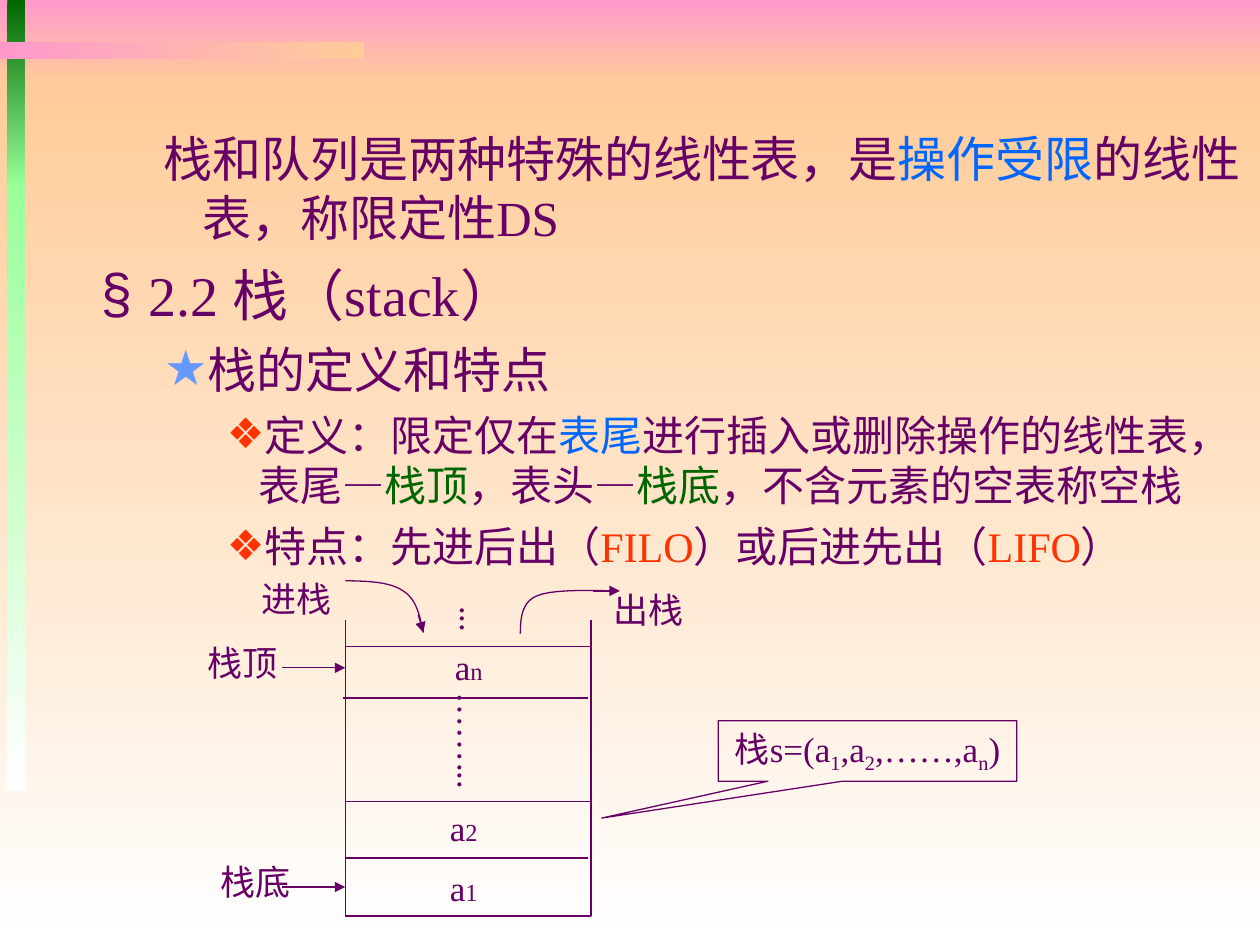
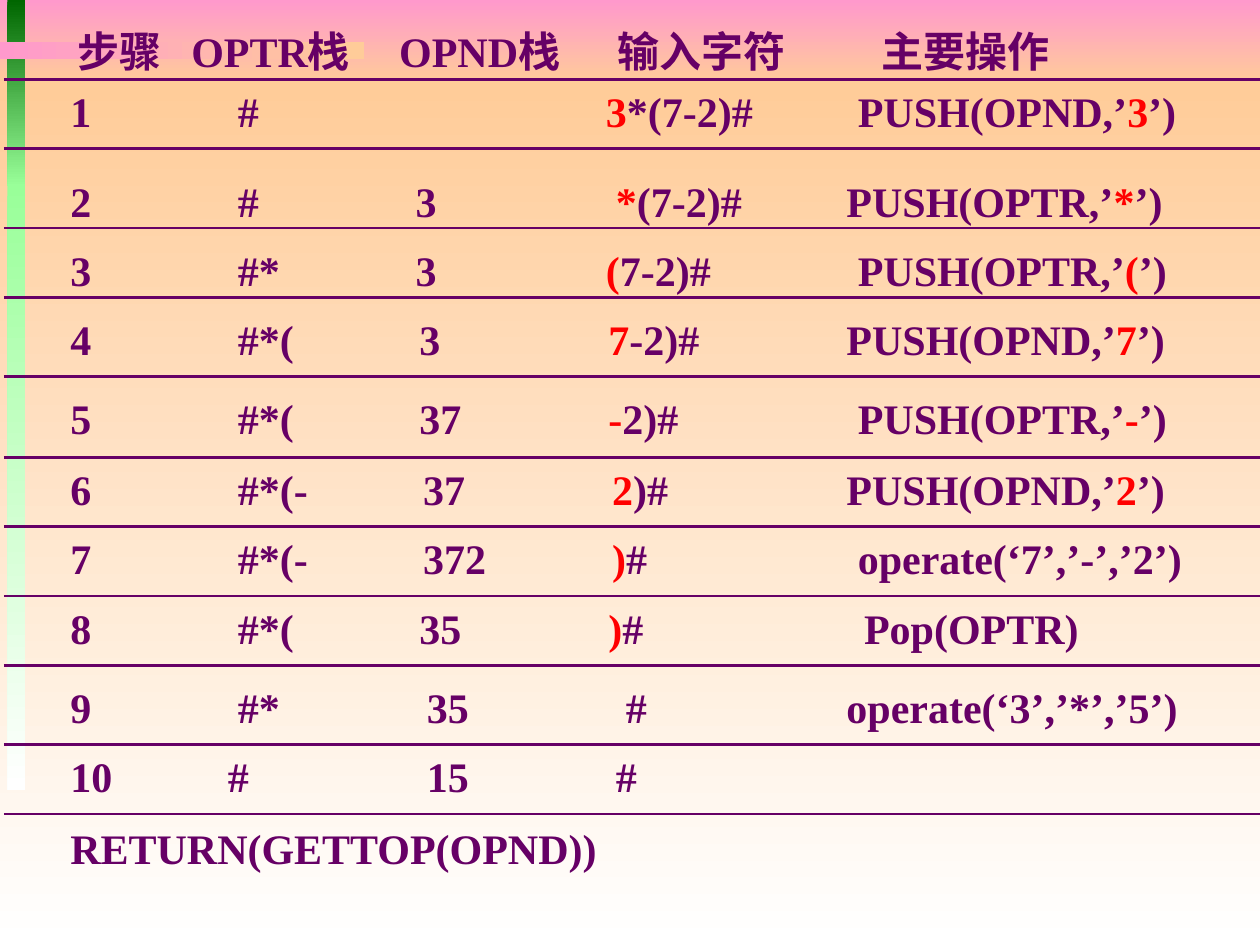
from lxml import etree
from pptx import Presentation
from pptx.dml.color import RGBColor
from pptx.enum.shapes import MSO_CONNECTOR, MSO_SHAPE
from pptx.enum.text import MSO_ANCHOR, MSO_AUTO_SIZE, PP_ALIGN
from pptx.oxml.ns import qn
from pptx.util import Inches, Pt

PURPLE = RGBColor(0x66, 0x00, 0x66)
BLUE = RGBColor(0x00, 0x66, 0xFF)
STAR_BLUE = RGBColor(0x66, 0x99, 0xFF)
ORANGE = RGBColor(0xFF, 0x33, 0x00)
RED = RGBColor(0xFF, 0x00, 0x00)
GREEN = RGBColor(0x00, 0x66, 0x00)
LIGHT_GREEN = RGBColor(0x99, 0xFF, 0x99)
PINK = RGBColor(0xFF, 0x99, 0xCC)
PEACH = RGBColor(0xFF, 0xCC, 0x99)
WHITE = RGBColor(0xFF, 0xFF, 0xFF)
FONT = "Times New Roman"
THIN, THICK = 0.75, 1.5
DOWN, ACROSS = 270, 0
INSET = 0.1

# Left, top, width, height, first colour, last colour, direction
BANDS = [
    (0, 0, 10, 0.67, PINK, PEACH, DOWN),
    (0, 0.67, 10, 6.83, PEACH, WHITE, DOWN),
    (0.06, 0, 0.14, 1.48, GREEN, LIGHT_GREEN, DOWN),
    (0.06, 1.46, 0.14, 4.81, LIGHT_GREEN, WHITE, DOWN),
    (0, 0.33, 2.89, 0.14, PINK, PEACH, ACROSS),
]

# Level -> left margin, hanging indent, size, space before
LEVELS = {0: (0.38, 0.38, 32, 8), 1: (0.81, 0.31, 28, 7), 2: (1.25, 0.25, 24, 6)}

# Level, bullet, bullet colour, runs
OUTLINE = [
    (1, None, None, [("栈和队列是两种特殊的线性表，是", PURPLE), ("操作受限", BLUE),
                     ("的线性表，称限定性DS", PURPLE)]),
    (0, "§", PURPLE, [("2.2 栈（stack）", PURPLE)]),
    (1, "★", STAR_BLUE, [("栈的定义和特点", PURPLE)]),
    (2, "❖", ORANGE, [("定义：限定仅在", PURPLE), ("表尾", BLUE),
                      ("进行插入或删除操作的线性表，表尾—", PURPLE), ("栈顶", GREEN),
                      ("，表头—", PURPLE), ("栈底", GREEN),
                      ("，不含元素的空表称空栈", PURPLE)]),
    (2, "❖", ORANGE, [("特点：先进后出（", PURPLE), ("FILO", ORANGE),
                      ("）或后进先出（", PURPLE), ("LIFO", ORANGE), ("）", PURPLE)]),
]

# Steps of evaluating 3*(7-2): top, entries (red parts between bars), left edge of each entry
STEPS = [
    (0.15, ("步骤", "OPTR栈", "OPND栈", "输入字符", "主要操作"), (0.62, 1.52, 3.17, 4.9, 7)),
    (0.63, ("1", "#", "", "|3|*(7-2)#", "PUSH(OPND,’|3|’)"), (0.56, 1.89, 3.3, 4.81, 6.81)),
    (1.34, ("2", "#", "3", "|*|(7-2)#", "PUSH(OPTR,’|*|’)"), (0.56, 1.89, 3.3, 4.89, 6.72)),
    (1.89, ("3", "#*", "3", "|(|7-2)#", "PUSH(OPTR,’|(|’)"), (0.56, 1.89, 3.3, 4.81, 6.81)),
    (2.44, ("4", "#*(", "3", "|7|-2)#", "PUSH(OPND,’|7|’)"), (0.56, 1.89, 3.33, 4.83, 6.72)),
    (3.07, ("5", "#*(", "37", "|-|2)#", "PUSH(OPTR,’|-|’)"), (0.56, 1.89, 3.33, 4.83, 6.81)),
    (3.63, ("6", "#*(-", "37", "|2|)#", "PUSH(OPND,’|2|’)"), (0.56, 1.89, 3.36, 4.86, 6.72)),
    (4.18, ("7", "#*(-", "372", "|)|#", "operate(‘7’,’-’,’2’)"), (0.56, 1.89, 3.36, 4.86, 6.81)),
    (4.73, ("8", "#*(", "35", "|)|#", "Pop(OPTR)"), (0.56, 1.89, 3.33, 4.83, 6.86)),
    (5.36, ("9", "#*", "35", "#", "operate(‘3’,’*’,’5’)"), (0.56, 1.89, 3.39, 4.97, 6.72)),
    (5.91, ("10", "#", "15", "#"), (0.56, 1.81, 3.39, 4.89)),
    (6.48, ("RETURN(GETTOP(OPND))",), (0.56,)),
]
RULES = [0.63, 1.18, 1.81, 2.36, 2.99, 3.63, 4.18, 4.73, 5.28, 5.91, 6.46]


def add_run(paragraph, text, size, color=PURPLE, bold=False):
    run = paragraph.add_run()
    run.text = text
    font = run.font
    font.name, font.size, font.bold = FONT, Pt(size), bold
    font.color.rgb = color
    return run


def sub(parent, tag, **attributes):
    return etree.SubElement(parent, qn(tag), attributes)


def add_bullet(paragraph, char, color):
    properties = paragraph._p.get_or_add_pPr()
    if char is None:
        sub(properties, "a:buNone")
        return
    sub(sub(properties, "a:buClr"), "a:srgbClr", val=str(color))
    sub(properties, "a:buChar", char=char)


def outline_shape(shape):
    shape.shadow.inherit = False
    shape.fill.background()
    shape.line.color.rgb = PURPLE
    shape.line.width = Pt(THIN)


def add_line(slide, x1, y1, x2, y2, weight=THIN, arrow=False):
    line = slide.shapes.add_connector(
        MSO_CONNECTOR.STRAIGHT, Inches(x1), Inches(y1), Inches(x2), Inches(y2))
    line.line.color.rgb = PURPLE
    line.line.width = Pt(weight)
    if arrow:
        sub(line.element.spPr.find(qn("a:ln")), "a:tailEnd", type="triangle")
    sub(line.element.spPr, "a:effectLst")


def center_text(shape):
    frame = shape.text_frame
    frame.word_wrap = False
    frame.auto_size = MSO_AUTO_SIZE.SHAPE_TO_FIT_TEXT
    frame.vertical_anchor = MSO_ANCHOR.MIDDLE
    frame.margin_left = frame.margin_right = 0
    frame.paragraphs[0].alignment = PP_ALIGN.CENTER
    return frame


def add_label(slide, x, y, width, height, text, index="", vertical=False):
    label = slide.shapes.add_textbox(Inches(x), Inches(y), Inches(width), Inches(height))
    frame = center_text(label)
    if vertical:
        label.element.txBody.bodyPr.set("vert", "eaVert")
        frame.margin_left = frame.margin_right = Inches(0.05)
        frame.margin_top = frame.margin_bottom = Inches(0.1)
    add_run(frame.paragraphs[0], text, 20)
    if index:
        add_run(frame.paragraphs[0], index, 14)


def bezier(start, control1, control2, end, steps=10):
    """Points along a cubic curve, without its start."""
    for step in range(1, steps + 1):
        t = step / steps
        weights = ((1 - t) ** 3, 3 * t * (1 - t) ** 2, 3 * t * t * (1 - t), t ** 3)
        yield tuple(sum(w * p[axis] for w, p in zip(weights, (start, control1, control2, end)))
                    for axis in (0, 1))


def add_curved_arrow(slide, left, top, points, head):
    """Draw cubic pieces that share their end points, then the arrow's head."""
    points = [(Inches(left + x), Inches(top + y)) for x, y in points]
    builder = slide.shapes.build_freeform(*points[0])
    for first in range(0, len(points) - 1, 3):
        builder.add_line_segments(list(bezier(*points[first:first + 4])), close=False)
    outline_shape(builder.convert_to_shape())
    x1, y1, x2, y2 = head
    add_line(slide, left + x1, top + y1, left + x2, top + y2, arrow=True)


def add_bands(master, slide):
    """Draw the gradient bands and move them behind everything on the master."""
    for position, (x, y, width, height, first, last, angle) in enumerate(BANDS):
        band = slide.shapes.add_shape(
            MSO_SHAPE.RECTANGLE, Inches(x), Inches(y), Inches(width), Inches(height))
        band.shadow.inherit = False
        band.line.fill.background()
        band.fill.gradient()
        band.fill.gradient_angle = angle
        for stop, color in zip(band.fill.gradient_stops, (first, last)):
            stop.color.rgb = color
        master.shapes.element.insert(2 + position, band.element)


def fill_outline(body, left, top, width, height):
    body.left, body.top = Inches(left), Inches(top)
    body.width, body.height = Inches(width), Inches(height)
    frame = body.text_frame
    frame.auto_size = MSO_AUTO_SIZE.NONE
    for number, (level, bullet, color, runs) in enumerate(OUTLINE):
        paragraph = frame.add_paragraph() if number else frame.paragraphs[0]
        margin, hanging, size, before = LEVELS[level]
        paragraph.level = level
        properties = paragraph._p.get_or_add_pPr()
        properties.set("marL", str(Inches(margin)))
        properties.set("indent", str(-Inches(hanging)))
        add_bullet(paragraph, bullet, color)
        paragraph.space_before = Pt(before if number else 0)
        for text, run_color in runs:
            add_run(paragraph, text, size, run_color)


def draw_stack(slide, left, top, width, height):
    # Open-topped container and its cells
    frame = slide.shapes.add_shape(
        MSO_SHAPE.RECTANGLE, Inches(left), Inches(top), Inches(width), Inches(height))
    outline_shape(frame)
    for start, end, divider in ((-0.02, 1.93, 0.41), (0, 1.95, 1.23), (0, 1.93, 1.68)):
        add_line(slide, left + start, top + divider, left + end, top + divider)
    for wall, bottom in ((left, 0.06), (left + width, 0)):
        add_line(slide, wall, top - 0.21, wall, top + bottom)

    # Elements
    for x, y, index in ((0.77, -0.06, "n"), (0.73, 1.22, "2"), (0.73, 1.69, "1")):
        add_label(slide, left + x, top + y, 0.42, 0.44, "a", index)
    add_label(slide, left + 0.74, top + 0.27, 0.53, 0.87, "……...", vertical=True)
    add_label(slide, left + 0.76, top - 0.42, 0.53, 0.31, "...", vertical=True)

    # Top and bottom pointers, push and pop
    for y in (0.17, 1.91):
        add_line(slide, left - 0.5, top + y, left, top + y, arrow=True)
    for x, y, text in ((-1.19, -0.09, "栈顶"), (-1.09, 1.65, "栈底"),
                       (-0.76, -0.6, "进栈"), (2.03, -0.51, "出栈")):
        add_label(slide, left + x, top + y, 0.75, 0.44, text)
    add_curved_arrow(slide, left, top, [
        (0, -0.52), (0.18, -0.52), (0.36, -0.51), (0.46, -0.44),
        (0.57, -0.37), (0.59, -0.24), (0.62, -0.11)], (0.58, -0.25, 0.62, -0.11))
    add_curved_arrow(slide, left, top, [
        (1.39, -0.1), (1.39, -0.22), (1.4, -0.35), (1.52, -0.4),
        (1.65, -0.46), (2.04, -0.44), (2.14, -0.44)], (1.97, -0.44, 2.18, -0.44))


def draw_callout(slide, left, top, width, height):
    callout = slide.shapes.add_shape(
        MSO_SHAPE.RECTANGULAR_CALLOUT, Inches(left), Inches(top), Inches(width), Inches(height))
    callout.adjustments[0], callout.adjustments[1] = -0.89, 1.11
    outline_shape(callout)
    paragraph = center_text(callout).paragraphs[0]
    for text, index in (("栈s=(a", "1"), (",a", "2"), (",……,a", "n"), (")", "")):
        add_run(paragraph, text, 20)
        if index:
            add_run(paragraph, index, 20).font._element.set("baseline", "-25000")


def add_step(slide, top, entries, starts, width=9.2, height=0.5):
    """Write one step on one line, its entries set by tab stops."""
    left = starts[0] - INSET
    step = slide.shapes.add_textbox(Inches(left), Inches(top), Inches(width), Inches(height))
    frame = step.text_frame
    frame.word_wrap = True
    frame.auto_size = MSO_AUTO_SIZE.SHAPE_TO_FIT_TEXT
    paragraph = frame.paragraphs[0]
    if len(starts) > 1:
        stops = sub(paragraph._p.get_or_add_pPr(), "a:tabLst")
        for start in starts[1:]:
            sub(stops, "a:tab", pos=str(Inches(start - starts[0])), algn="l")
    for part, piece in enumerate("\t".join(entries).split("|")):
        add_run(paragraph, piece, 24, RED if part % 2 else PURPLE, bold=True)


def draw_steps(slide, left, width):
    for y in RULES:
        add_line(slide, left, y, left + width, y, THICK)
    for top, entries, starts in STEPS:
        add_step(slide, top, entries, starts)


def stack_slide(prs):
    slide = prs.slides.add_slide(prs.slide_layouts[1])
    title = slide.shapes.title.element
    title.getparent().remove(title)
    add_bands(prs.slide_master, slide)
    fill_outline(slide.placeholders[1], 0.7, 0.97, 9.3, 3.68)
    draw_stack(slide, 2.74, 5.13, 1.95, 2.14)
    draw_callout(slide, 5.7, 5.72, 2.37, 0.48)


def steps_slide(prs):
    slide = prs.slides.add_slide(prs.slide_layouts[6])
    draw_steps(slide, 0.03, 10)


def main():
    prs = Presentation()
    prs.slide_width, prs.slide_height = Inches(10), Inches(7.5)
    stack_slide(prs)
    steps_slide(prs)
    prs.save("out.pptx")


if __name__ == "__main__":
    main()
